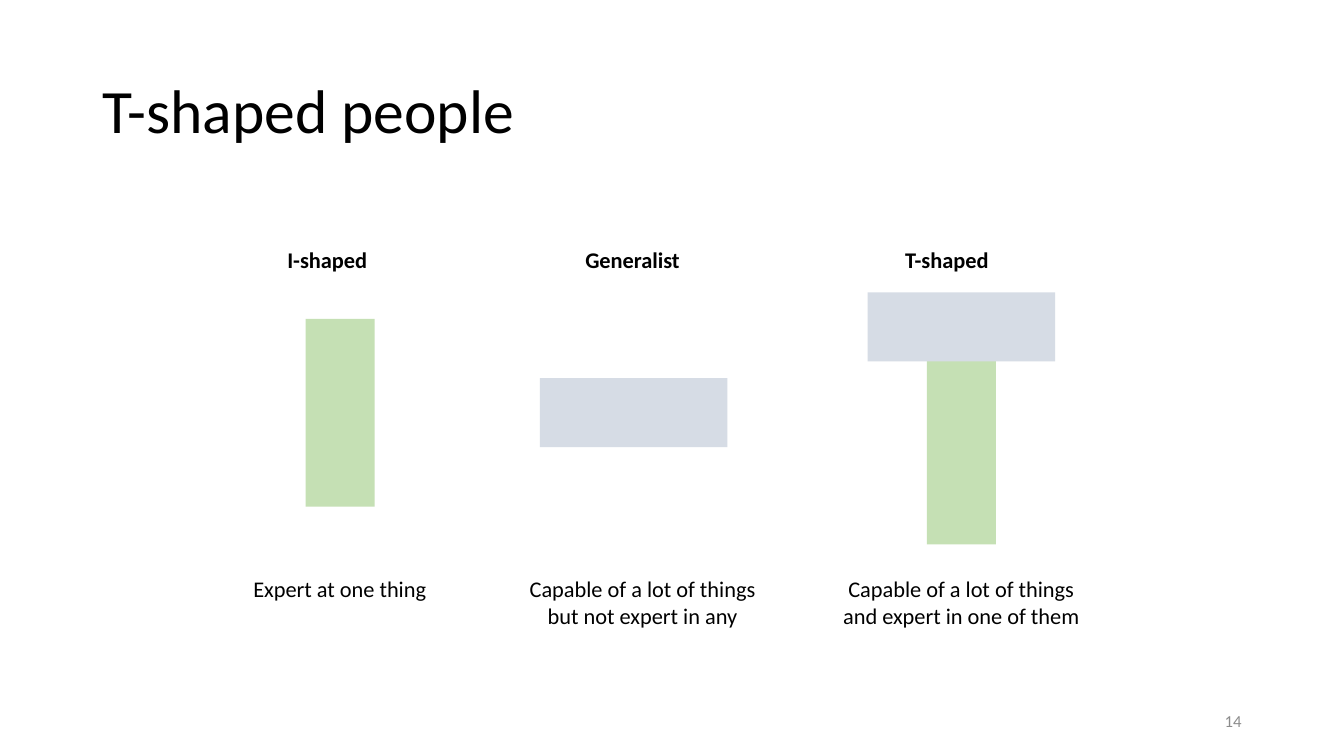
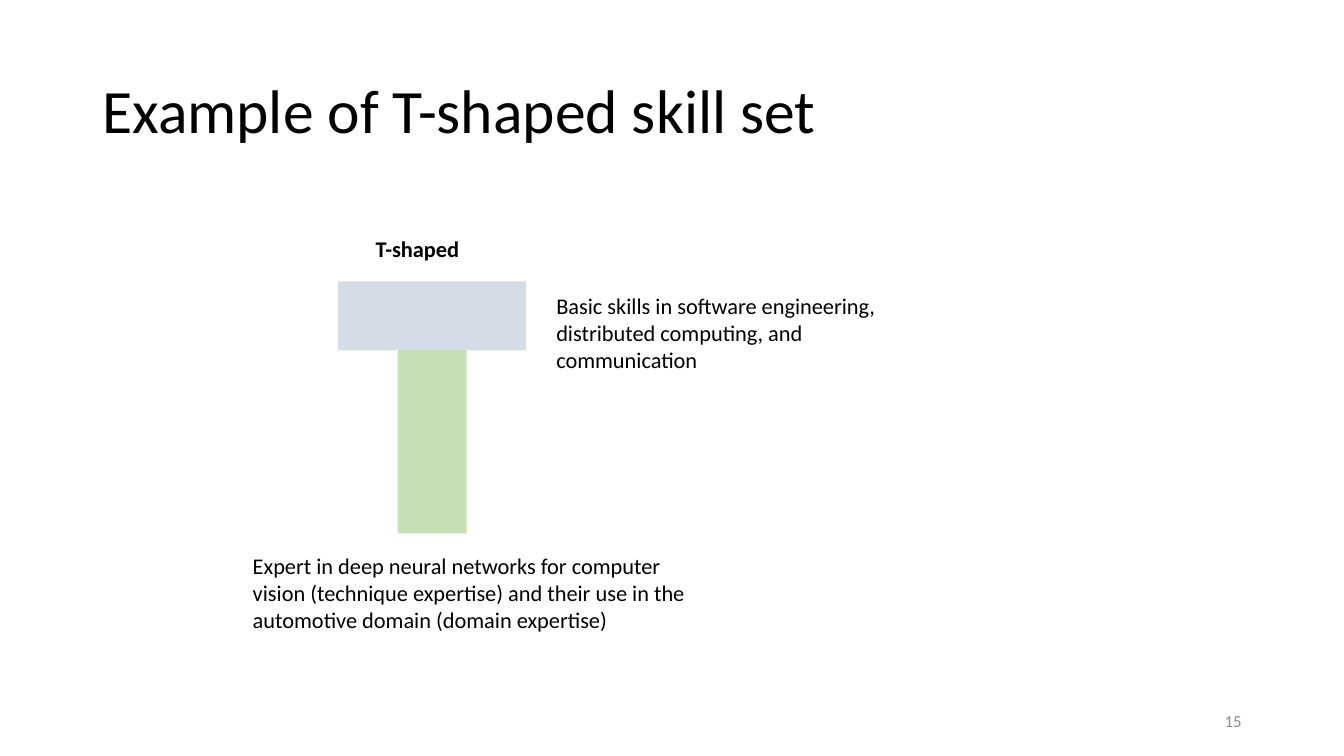
from pptx import Presentation
from pptx.dml.color import RGBColor
from pptx.enum.shapes import MSO_SHAPE as Shape
from pptx.enum.text import MSO_ANCHOR as Anchor, PP_ALIGN as Align
from pptx.util import Cm, Pt

BLACK = RGBColor(0x00, 0x00, 0x00)
GRAY = RGBColor(0x8C, 0x8C, 0x8C)
GREEN = RGBColor(0xC5, 0xE0, 0xB4)
BLUE = RGBColor(0xD6, 0xDC, 0xE5)
FONT = "Calibri"

# Lengths in cm
LONG, SHORT = 4.73, 1.74
STEM_DROP = 1.62
TEE_RISE = 1.3
MID = 10.4
HEAD_TOP, NOTE_TOP = 6.07, 14.38
LINE, NOTE_HIGH = 0.94, 1.63

STYLES = {
    "title": {"font": {"size": Pt(44)}, "para": {"line_spacing": 0.9},
              "frame": {"vertical_anchor": Anchor.MIDDLE}},
    "head": {"font": {"bold": True}, "frame": {"word_wrap": False}},
    "note": {"para": {"alignment": Align.CENTER}},
    "body": {},
    "page": {"font": {"size": Pt(12)}, "para": {"alignment": Align.RIGHT},
             "frame": {"vertical_anchor": Anchor.MIDDLE}, "color": GRAY},
}

# Kind, centre of drawing, heading (text, left, width), note (text, left, width)
TYPES = [
    ("stem", 8.57, ("I-shaped", 6.99, 2.54),
     ("Expert at one thing", 6.1, 4.93)),
    ("bar", 15.97, ("Generalist", 14.5, 2.92),
     ("Capable of a lot of things but not expert in any", 12.7, 6.99)),
    ("tee", 24.23, ("T-shaped", 22.56, 2.69),
     ("Capable of a lot of things and expert in one of them", 20.73, 6.99)),
]

# Text, left, top, width, height
SKILLS = [
    ("Basic skills in software engineering, distributed computing, "
     "and communication", 13.77, 7.24, 10.39, 2.31),
    ("Expert in deep neural networks for computer vision (technique "
     "expertise) and their use in the automotive domain (domain expertise)",
     6.12, 13.79, 11.76, 2.31),
]


def add_text(slide, style, text, *place):
    look = STYLES[style]
    frame = slide.shapes.add_textbox(*map(Cm, place)).text_frame
    para = frame.paragraphs[0]
    run = para.add_run()
    run.text = text
    run.font.color.rgb = look.get("color", BLACK)
    formats = [
        (frame, {"word_wrap": True, **look.get("frame", {})}),
        (para, look.get("para", {})),
        (run.font, {"name": FONT, "size": Pt(16), **look.get("font", {})}),
    ]
    for part, values in formats:
        for key, value in values.items():
            setattr(part, key, value)


def add_block(slide, color, mid, top, width, height):
    place = mid - width / 2, top, width, height
    block = slide.shapes.add_shape(Shape.RECTANGLE, *map(Cm, place))
    block.shadow.inherit = False
    block.fill.solid()
    block.fill.fore_color.rgb = color
    block.line.fill.background()


def add_stem(slide, mid, top):
    add_block(slide, GREEN, mid, top, SHORT, LONG)


def add_bar(slide, mid, top):
    add_block(slide, BLUE, mid, top, LONG, SHORT)


def add_tee(slide, mid, top):
    add_stem(slide, mid, top + STEM_DROP)
    add_bar(slide, mid, top)


def add_page(deck, title, number):
    slide = deck.slides.add_slide(deck.slide_layouts[6])
    add_text(slide, "title", title, 2.33, 1.01, 29.21, 3.68)
    add_text(slide, "page", str(number), 23.92, 17.65, 7.62, 1.01)
    return slide


def add_types(deck):
    slide = add_page(deck, "T-shaped people", 14)
    draw = {
        "stem": (add_stem, MID - LONG / 2),
        "bar": (add_bar, MID - SHORT / 2),
        "tee": (add_tee, HEAD_TOP + TEE_RISE),
    }
    for kind, mid, (head, head_left, head_wide), (note, left, wide) in TYPES:
        add, top = draw[kind]
        add(slide, mid, top)
        add_text(slide, "head", head, head_left, HEAD_TOP, head_wide, LINE)
        add_text(slide, "note", note, left, NOTE_TOP, wide, NOTE_HIGH)


def add_skills(deck):
    slide = add_page(deck, "Example of T-shaped skill set", 15)
    top = 7.09
    add_tee(slide, 10.89, top)
    add_text(slide, "head", "T-shaped", 9.22, top - TEE_RISE, 2.69, LINE)
    for text, *place in SKILLS:
        add_text(slide, "body", text, *place)


def main():
    deck = Presentation()
    deck.slide_width, deck.slide_height = Cm(33.87), Cm(19.05)
    add_types(deck)
    add_skills(deck)
    deck.save("out.pptx")


if __name__ == "__main__":
    main()
